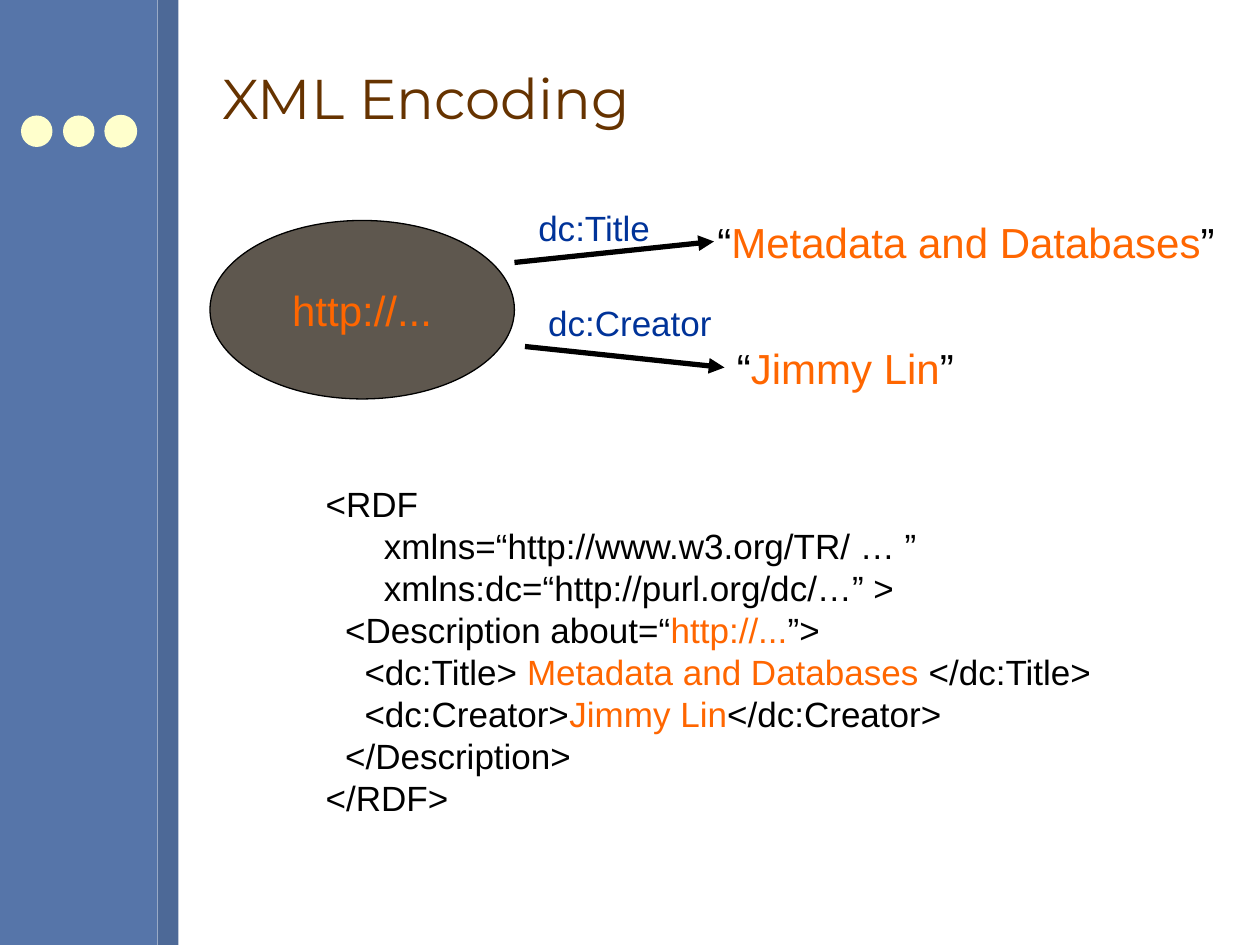
from lxml.etree import SubElement
from pptx import Presentation
from pptx.dml.color import RGBColor
from pptx.enum.shapes import MSO_CONNECTOR, MSO_SHAPE
from pptx.enum.text import MSO_ANCHOR, MSO_AUTO_SIZE, PP_ALIGN
from pptx.oxml.ns import qn
from pptx.util import Pt

BLACK = RGBColor(0x00, 0x00, 0x00)
ORANGE = RGBColor(0xFF, 0x66, 0x00)
NAVY = RGBColor(0x00, 0x33, 0x99)
BROWN = RGBColor(0x66, 0x33, 0x00)
STONE = RGBColor(0x5E, 0x57, 0x4E)
CREAM = RGBColor(0xFF, 0xFF, 0xCC)
BLUE = RGBColor(0x56, 0x75, 0xA9)
DARK_BLUE = RGBColor(0x4D, 0x69, 0x97)

# Content: each line is a list of (text, colour) runs
TITLE = "XML Encoding"
RESOURCE = [("http://...", ORANGE)]
LABELS = [  # runs, size, box
    ([("“", BLACK), ("Metadata and Databases", ORANGE), ("”", BLACK)],
     24, (402, 120, 300, 36)),
    ([("dc:Title", NAVY)], 20, (300, 114, 79, 32)),
    ([("dc:Creator", NAVY)], 20, (306, 168, 108, 32)),
    ([("“", BLACK), ("Jimmy Lin", ORANGE), ("”", BLACK)],
     24, (413, 192, 140, 36)),
]
ARROWS = [(294, 150, 408, 138), (300, 198, 414, 210)]
CODE = [
    [("<RDF", BLACK)],
    [("      xmlns=“http://www.w3.org/TR/ … ”", BLACK)],
    [("      xmlns:dc=“http://purl.org/dc/…” >", BLACK)],
    [("  <Description about=“", BLACK), ("http://...", ORANGE), ("”>", BLACK)],
    [("    <dc:Title> ", BLACK), ("Metadata and Databases", ORANGE),
     (" </dc:Title>", BLACK)],
    [("    <dc:Creator>", BLACK), ("Jimmy Lin", ORANGE),
     ("</dc:Creator>", BLACK)],
    [("  </Description>", BLACK)],
    [("</RDF>", BLACK)],
]

prs = Presentation()
prs.slide_width, prs.slide_height = Pt(720), Pt(540)
s = prs.slides.add_slide(prs.slide_layouts[5])


def points(*values):
    return [Pt(v) for v in values]


def add_shape(kind, box, fill, line=None):
    sp = s.shapes.add_shape(kind, *points(*box))
    sp.shadow.inherit = False
    sp.fill.solid()
    sp.fill.fore_color.rgb = fill
    if line is None:
        sp.line.fill.background()
    else:
        sp.line.color.rgb = line
        sp.line.width = Pt(0.75)
    return sp


def write(sp, lines, size, align=PP_ALIGN.CENTER, anchor=MSO_ANCHOR.MIDDLE):
    tf = sp.text_frame
    tf.word_wrap = False
    tf.vertical_anchor = anchor
    for i, runs in enumerate(lines):
        p = tf.add_paragraph() if i else tf.paragraphs[0]
        p.alignment = align
        for text, color in runs:
            r = p.add_run()
            r.text = text
            r.font.name = "Arial"
            r.font.size = Pt(size)
            r.font.color.rgb = color


def add_text(box, lines, size, **layout):
    sp = s.shapes.add_textbox(*points(*box))
    write(sp, lines, size, **layout)
    sp.text_frame.auto_size = MSO_AUTO_SIZE.SHAPE_TO_FIT_TEXT


# Side bands and dots
add_shape(MSO_SHAPE.RECTANGLE, (0, 0, 90, 540), BLUE)
add_shape(MSO_SHAPE.RECTANGLE, (90, 0, 12, 540), DARK_BLUE)
for i, line in enumerate((None, None, CREAM)):
    add_shape(MSO_SHAPE.OVAL, (12 + 24 * i, 66, 18, 18), CREAM, line)

# Title
title = s.shapes.title
title.left, title.top, title.width, title.height = points(120, 15, 576, 81)
tf = title.text_frame
tf.text = TITLE
tf.vertical_anchor = MSO_ANCHOR.MIDDLE
p = tf.paragraphs[0]
p.alignment = PP_ALIGN.LEFT
r = p.runs[0]
r.font.name = "Montserrat"
r.font.size = Pt(32)
r.font.color.rgb = BROWN

# Graph: resource, arrows and labels
resource = add_shape(MSO_SHAPE.OVAL, (120, 126, 174, 102), STONE, BLACK)
write(resource, [RESOURCE], 24)
for ends in ARROWS:
    arrow = s.shapes.add_connector(MSO_CONNECTOR.STRAIGHT, *points(*ends))
    arrow.line.color.rgb = BLACK
    arrow.line.width = Pt(3)
    props = arrow._element.spPr
    SubElement(props.get_or_add_ln(), qn("a:tailEnd"), type="triangle")
    SubElement(props, qn("a:effectLst"))
for runs, size, box in LABELS:
    add_text(box, [runs], size)

# XML listing
add_text((179, 272, 453, 223), CODE, 20,
         align=PP_ALIGN.LEFT, anchor=MSO_ANCHOR.TOP)

prs.save("out.pptx")
